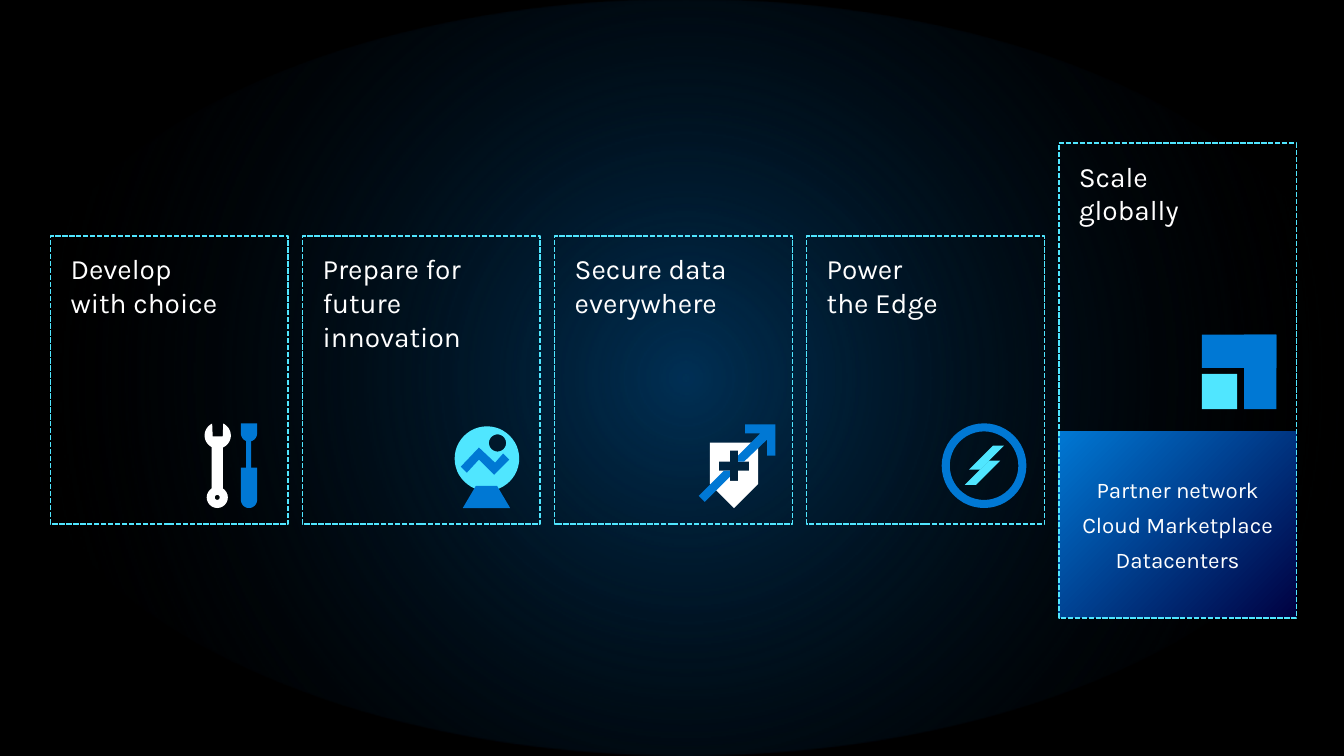
from dataclasses import dataclass
from math import cos, radians, sin

from lxml import etree
from pptx import Presentation
from pptx.dml.color import RGBColor
from pptx.enum.dml import MSO_LINE
from pptx.enum.shapes import MSO_SHAPE
from pptx.enum.text import MSO_ANCHOR, PP_ALIGN
from pptx.oxml.ns import qn
from pptx.util import Inches, Pt

DASH = MSO_LINE.SQUARE_DOT
RECT, OVAL, DONUT = MSO_SHAPE.RECTANGLE, MSO_SHAPE.OVAL, MSO_SHAPE.DONUT
TOP, MIDDLE = MSO_ANCHOR.TOP, MSO_ANCHOR.MIDDLE
LEFT, CENTER = PP_ALIGN.LEFT, PP_ALIGN.CENTER
WIDE, TALL = 133.3, 75
CARD_W, CARD_H, STEP = 23.6, 28.6, 25
EDGE, ROW, HIGH_ROW = 5, 23.4, 14.2


@dataclass(frozen=True)
class Theme:
    font: str = "Karla"
    head: int = 20
    body: int = 16
    gap: float = 5.9
    edge: float = 1.25
    unit: float = 0.1
    black: str = "000000"
    white: str = "FFFFFF"
    blue: str = "0078D4"
    cyan: str = "50E6FF"
    navy: str = "000041"
    glow: str = "003C6A"


def arc(x, y, r, start=0, end=360, steps=48):
    turns = [radians(start + (end - start) * i / steps) for i in range(steps + 1)]
    return [(x + r * cos(a), y + r * sin(a)) for a in turns]


class Board:
    def __init__(self, deck, theme):
        self.theme = theme
        self.slide = deck.slides.add_slide(deck.slide_layouts[6])
        fill = self.slide.background.fill
        fill.solid()
        fill.fore_color.rgb = RGBColor.from_string(theme.black)
        self.shapes = self.slide.shapes
        self.x = self.y = 0

    def size(self, cells):
        return Inches(cells * self.theme.unit)

    def paint(self, shape, color=None):
        shape.shadow.inherit = False
        shape.line.fill.background()
        if color:
            shape.fill.solid()
            shape.fill.fore_color.rgb = RGBColor.from_string(color)
        else:
            shape.fill.background()
        return shape

    def form(self, kind, x, y, w, h, color=None):
        box = [self.size(n) for n in (self.x + x, self.y + y, w, h)]
        return self.paint(self.shapes.add_shape(kind, *box), color)

    def ring(self, x, y, w, band, color):
        self.form(DONUT, x, y, w, w, color).adjustments[0] = band / w

    def outline(self, color, *loops):
        pen = None
        for loop in loops:
            first, *rest = [
                (self.size(self.x + x), self.size(self.y + y)) for x, y in loop
            ]
            if pen is None:
                pen = self.shapes.build_freeform(*first, scale=1.0)
            else:
                pen.move_to(*first)
            pen.add_line_segments(rest, close=True)
        self.paint(pen.convert_to_shape(), color)

    def blend(self, shape, stops):
        shape.fill.gradient()
        for stop, (place, color) in zip(shape.fill.gradient_stops, stops):
            stop.position = place
            stop.color.rgb = RGBColor.from_string(color)

    def halo(self):
        shape = self.form(OVAL, 0, 0, 136, TALL)
        self.blend(shape, ((0, self.theme.glow), (0.9, self.theme.black)))
        grad = shape.element.spPr.find(qn("a:gradFill"))
        for color, alpha in zip(grad.iter(qn("a:srgbClr")), ("80000", "0")):
            etree.SubElement(color, qn("a:alpha")).set("val", alpha)
        ray = etree.Element(qn("a:path"))
        ray.set("path", "circle")
        focus = etree.SubElement(ray, qn("a:fillToRect"))
        for side in "ltrb":
            focus.set(side, "50000")
        grad.replace(grad.find(qn("a:lin")), ray)

    def label(self, shape, text, size, align=LEFT, anchor=TOP):
        frame = shape.text_frame
        frame.word_wrap = True
        frame.vertical_anchor = anchor
        frame.margin_left = frame.margin_right = self.size(2)
        frame.margin_top = frame.margin_bottom = self.size(1.6)
        frame.text = text
        for i, line in enumerate(frame.paragraphs):
            line.alignment = align
            line.space_before = Pt(self.theme.gap if i else 0)
            for run in line.runs:
                run.font.name = self.theme.font
                run.font.size = Pt(size)
                run.font.color.rgb = RGBColor.from_string(self.theme.white)

    def card(self, col, row, text, high=CARD_H, panel=None):
        self.shapes = self.slide.shapes.add_group_shape().shapes
        self.x, self.y = EDGE + col * STEP, row
        if panel:
            base = self.form(RECT, 0, CARD_H, CARD_W, high - CARD_H)
            self.blend(base, ((0, self.theme.navy), (1, self.theme.blue)))
            base.fill.gradient_angle = 135
            self.label(base, panel, self.theme.body, CENTER, MIDDLE)
        frame = self.form(RECT, 0, 0, CARD_W, high)
        frame.line.color.rgb = RGBColor.from_string(self.theme.cyan)
        frame.line.width = Pt(self.theme.edge)
        frame.line.dash_style = DASH
        self.label(frame, text, self.theme.head)

    def tools(self):
        blue, white = self.theme.blue, self.theme.white
        self.form(RECT, 19.4, 20.2, 0.5, 3.1, blue)
        for top, low in ((18.6, 19.6), (23, 26.2)):
            self.outline(blue, [(18.9, top), (20.5, top), *arc(19.7, low, 0.8, 0, 180)])
        self.form(RECT, 16, 20.3, 1.1, 5.2, white)
        self.ring(15.5, 24.9, 2.1, 0.8, white)
        jaw = arc(16.6, 19.8, 1.3, -65, 245)
        self.outline(white, [*jaw, (16.1, 19.9), (17.1, 19.9)])

    def orb(self):
        blue = self.theme.blue
        self.outline(self.theme.cyan, arc(18.3, 22.1, 3.2), arc(19.35, 20.55, 0.85, 360, 0))
        self.outline(blue, [(19.9, 21.6), (19.1, 22.5), (17.5, 21), (15.7, 22.9),
                            (16.3, 23.5), (17.5, 22.2), (19, 23.7), (20.5, 22.2)])
        self.outline(blue, [(15.9, 27), (17.2, 24.8), (19.3, 24.8), (20.6, 27)])

    def shield(self):
        blue = self.theme.blue
        body = [(20.2, 24.6), (20.2, 20.5), (15.4, 20.5), (15.4, 24.6), (17.8, 27)]
        cross = [(19.3, 23.3), (18.2, 23.3), (18.2, 24.3), (17.4, 24.3),
                 (17.4, 23.3), (16.3, 23.3), (16.3, 22.4), (17.4, 22.4),
                 (17.4, 21.3), (18.2, 21.3), (18.2, 22.4), (19.3, 22.4)]
        self.outline(self.theme.white, body, cross)
        self.outline(blue, [(16.8, 23.3), (17.4, 23.3), (17.4, 23.9), (14.9, 26.4), (14.3, 25.8)])
        self.outline(blue, [(21.9, 18.7), (21.9, 21.8), (21.1, 21.8), (21.1, 20.2),
                            (18.8, 22.4), (18.2, 22.4), (18.2, 21.8), (20.4, 19.6),
                            (18.9, 19.6), (18.9, 18.7)])

    def bolt(self):
        for x, y in ((16.1, 23.2), (15.7, 24.7)):
            self.outline(self.theme.cyan, [(x, y), (x + 1.1, y), (x + 3.5, y - 2.4), (x + 2.4, y - 2.4)])
        self.ring(13.4, 18.6, 8.4, 0.8, self.theme.blue)

    def tiles(self):
        self.form(RECT, 14.2, 22.9, 3.5, 3.5, self.theme.cyan)
        self.form(RECT, 14.2, 19, 7.4, 3.3, self.theme.blue)
        self.form(RECT, 18.4, 19, 3.2, 7.4, self.theme.blue)


def main():
    theme = Theme()
    deck = Presentation()
    deck.slide_width = Inches(WIDE * theme.unit)
    deck.slide_height = Inches(TALL * theme.unit)
    board = Board(deck, theme)
    board.halo()
    cards = (
        ("Develop\vwith choice", board.tools),
        ("Prepare for\vfuture innovation", board.orb),
        ("Secure data everywhere", board.shield),
        ("Power\vthe Edge", board.bolt),
    )
    for col, (text, icon) in enumerate(cards):
        board.card(col, ROW, text)
        icon()
    offer = "Partner network\nCloud Marketplace\nDatacenters"
    board.card(len(cards), HIGH_ROW, "Scale\vglobally", 47.1, offer)
    board.tiles()
    deck.save("out.pptx")


if __name__ == "__main__":
    main()
